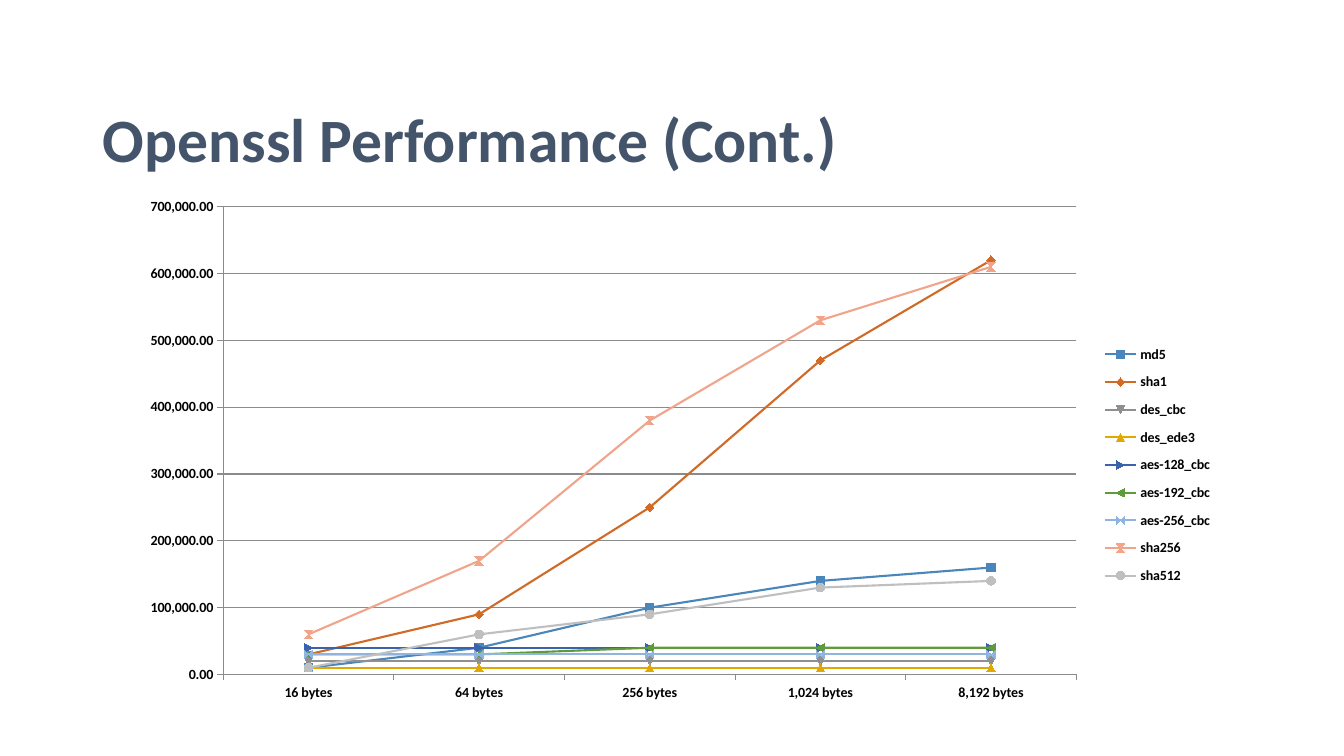
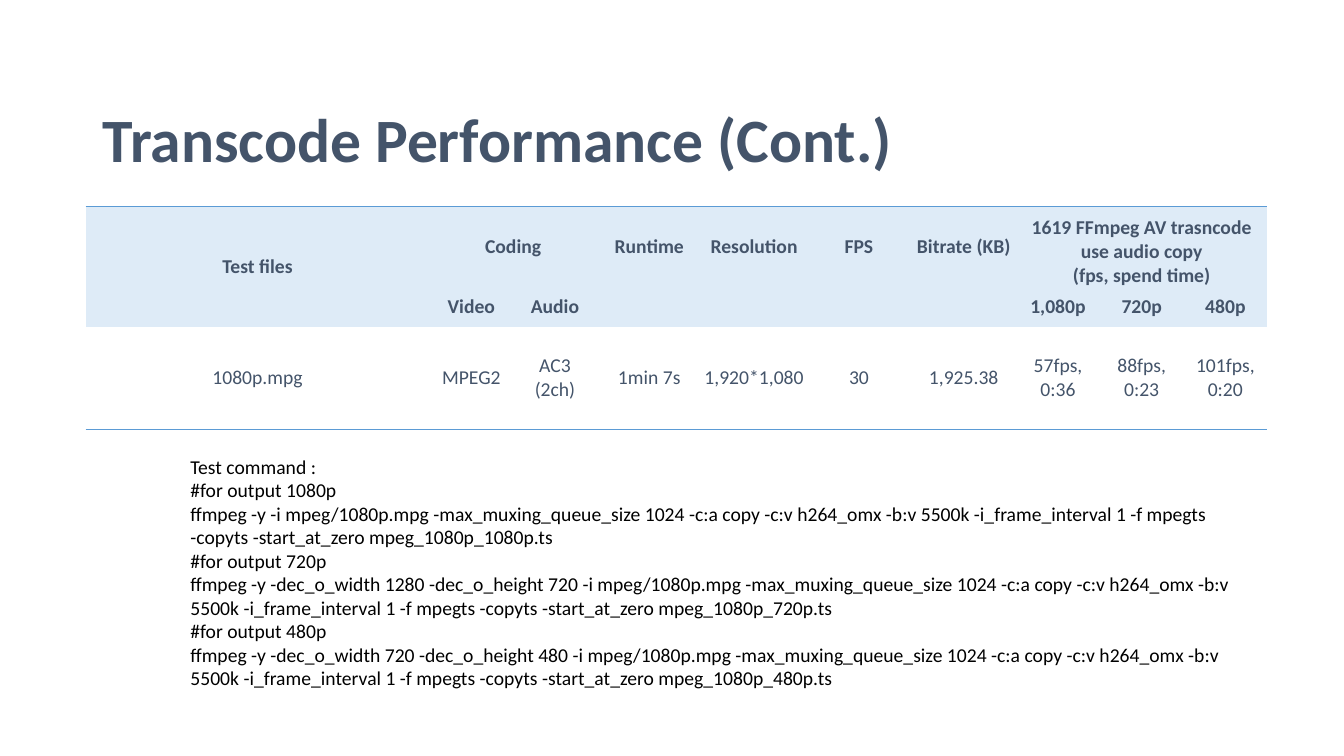
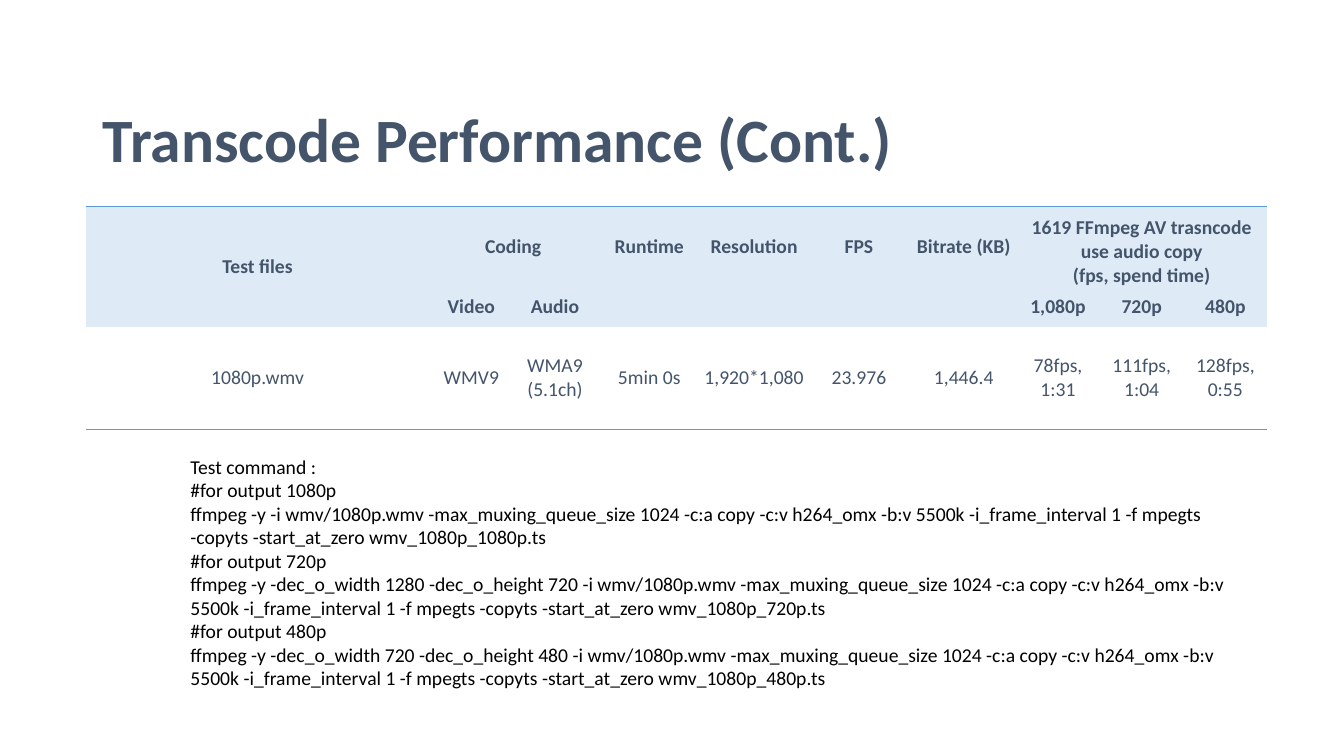
from lxml import etree
from pptx import Presentation
from pptx import util as u
from pptx.chart import data as chart_data
from pptx.dml.color import RGBColor
from pptx.enum import chart as charts, text
from pptx.oxml import ns

FONT = "Calibri"
NAVY, BLACK, WHITE = "44546A", "000000", "FFFFFF"
BLUE, PALE_BLUE, GRAY = "5B9BD5", "DEEBF7", "8B8B8B"
PLAIN_TABLE = "{2D5ABB26-0587-4C30-8999-92F81FD0307C}"

SIZES = ["16 bytes", "64 bytes", "256 bytes", "1,024 bytes", "8,192 bytes"]
SERIES = [
    ("md5", "4A86BA", [10000, 40000, 100000, 140000, 160000]),
    ("sha1", "D06B27", [30000, 90000, 250000, 470000, 620000]),
    ("des_cbc", "8F8F8F", [20000] * 5),
    ("des_ede3", "E0A800", [10000] * 5),
    ("aes-128_cbc", "3A62AD", [40000] * 5),
    ("aes-192_cbc", "5F9A3B", [30000, 30000, 40000, 40000, 40000]),
    ("aes-256_cbc", "90B4E0", [30000] * 5),
    ("sha256", "F0A58A", [60000, 170000, 380000, 530000, 610000]),
    ("sha512", "BFBFBF", [10000, 60000, 90000, 130000, 140000]),
]

COLUMNS = [3.41] + [0.83] * 2 + [1.04] * 4 + [0.83] * 3
ROWS = [0.8, 0.39, 1.02]
HEADINGS = [
    ["Test files", "Coding", "", "Runtime", "Resolution", "FPS", "Bitrate (KB)",
     "1619 FFmpeg AV trasncode\vuse audio copy\v(fps, spend time)", "", ""],
    ["", "Video", "Audio", "", "", "", "", "1,080p", "720p", "480p"],
]
MERGES = [((0, 0), (1, 0)), ((0, 1), (0, 2)), ((0, 7), (0, 9))]
MPEG_RESULTS = ["1080p.mpg", "MPEG2", "AC3\n(2ch)", "1min 7s", "1,920*1,080", "30",
                "1,925.38", "57fps, 0:36", "88fps, 0:23", "101fps, 0:20"]
WMV_RESULTS = ["1080p.wmv", "WMV9", "WMA9 (5.1ch)", "5min 0s", "1,920*1,080", "23.976",
               "1,446.4", "78fps, 1:31", "111fps, 1:04", "128fps, 0:55"]
OUTPUTS = [("1080p", ""),
           ("720p", "-dec_o_width 1280 -dec_o_height 720 "),
           ("480p", "-dec_o_width 720 -dec_o_height 480 ")]


def color(value):
    return RGBColor.from_string(value)


def style_font(font, size, fill, bold=False):
    font.name = FONT
    font.size = u.Pt(size)
    font.bold = bold
    font.color.rgb = color(fill)


def write(frame, lines, size, fill, bold=False, align=text.PP_ALIGN.LEFT):
    for index, line in enumerate(lines):
        para = frame.paragraphs[0] if index == 0 else frame.add_paragraph()
        para.alignment = align
        for part, words in enumerate(line.split("\v")):
            if part:
                para.add_line_break()
            span = para.add_run()
            span.text = words
            style_font(span.font, size, fill, bold)


def add_page(deck, heading):
    page = deck.slides.add_slide(deck.slide_layouts[5])
    page.background.fill.solid()
    page.background.fill.fore_color.rgb = color(WHITE)
    title = page.shapes.title
    title.left, title.top = u.Inches(0.92), u.Inches(0.98)
    title.width, title.height = u.Inches(11.5), u.Inches(0.86)
    frame = title.text_frame
    frame.auto_size = text.MSO_AUTO_SIZE.NONE
    frame.vertical_anchor = text.MSO_ANCHOR.MIDDLE
    write(frame, [heading], 44, NAVY, True)
    frame.paragraphs[0].line_spacing = 0.9
    return page


def manual_layout(inner, **edges):
    layout = etree.Element(ns.qn("c:layout"))
    manual = etree.SubElement(layout, ns.qn("c:manualLayout"))
    settings = {"layoutTarget": "inner"} if inner else {}
    settings.update(xMode="edge", yMode="edge", **edges)
    for name, value in settings.items():
        etree.SubElement(manual, ns.qn("c:" + name)).set("val", str(value))
    return layout


def place_chart_parts(chart):
    plot_area = chart._chartSpace.chart.plotArea
    for layout in plot_area.findall(ns.qn("c:layout")):
        plot_area.remove(layout)
    plot_area.insert(0, manual_layout(True, x=0.086, y=0.035, w=0.78, h=0.896))
    legend = chart.legend._element
    for layout in legend.findall(ns.qn("c:layout")):
        legend.remove(layout)
    position = legend.find(ns.qn("c:legendPos"))
    position.addnext(manual_layout(False, x=0.88, y=0.28, w=0.12, h=0.5))


def style_line(line, fill, width):
    line.color.rgb = color(fill)
    line.width = u.Pt(width)


def add_speed_chart(page):
    speeds = chart_data.CategoryChartData(number_format="#,##0.00")
    speeds.categories = SIZES
    for name, _, values in SERIES:
        speeds.add_series(name, values)
    chart = page.shapes.add_chart(
        charts.XL_CHART_TYPE.LINE_MARKERS, u.Inches(1.28), u.Inches(1.87),
        u.Inches(10.85), u.Inches(5.18), speeds).chart
    chart.has_title = False
    style_font(chart.font, 10, BLACK, True)
    chart.has_legend = True
    chart.legend.position = charts.XL_LEGEND_POSITION.RIGHT
    chart.legend.include_in_layout = False
    style_font(chart.legend.font, 10, BLACK, True)
    for axis in (chart.category_axis, chart.value_axis):
        axis.major_tick_mark = charts.XL_TICK_MARK.OUTSIDE
        axis.minor_tick_mark = charts.XL_TICK_MARK.NONE
        style_font(axis.tick_labels.font, 10, BLACK, True)
        style_line(axis.format.line, GRAY, 0.75)
    axis = chart.value_axis
    axis.minimum_scale, axis.maximum_scale, axis.major_unit = 0, 700000, 100000
    axis.tick_labels.number_format = "#,##0.00"
    axis.tick_labels.number_format_is_linked = False
    axis.has_major_gridlines = True
    style_line(axis.major_gridlines.format.line, GRAY, 0.75)
    plot = chart.plots[0]
    plot.vary_by_categories = False
    for series, (_, fill, _) in zip(plot.series, SERIES):
        series.smooth = False
        style_line(series.format.line, fill, 1.5)
        series.marker.size = 6
        series.marker.format.fill.solid()
        series.marker.format.fill.fore_color.rgb = color(fill)
        style_line(series.marker.format.line, fill, 0.75)
    place_chart_parts(chart)


def add_border(cell, side):
    line = etree.Element(ns.qn("a:ln" + side), w=str(u.Pt(1)))
    fill = etree.SubElement(line, ns.qn("a:solidFill"))
    etree.SubElement(fill, ns.qn("a:srgbClr"), val=BLUE)
    cell._tc.get_or_add_tcPr().insert(0, line)


def fill_cell(cell, words, heading):
    cell.margin_left = cell.margin_right = cell.margin_top = cell.margin_bottom = 0
    cell.vertical_anchor = text.MSO_ANCHOR.BOTTOM if "\v" in words else text.MSO_ANCHOR.MIDDLE
    if heading:
        cell.fill.solid()
        cell.fill.fore_color.rgb = color(PALE_BLUE)
    else:
        cell.fill.background()
    if words:
        write(cell.text_frame, words.split("\n"), 14, NAVY, heading, text.PP_ALIGN.CENTER)


def add_results_table(page, results):
    table = page.shapes.add_table(
        len(ROWS), len(COLUMNS), u.Inches(0.85), u.Inches(2.05),
        u.Inches(sum(COLUMNS)), u.Inches(sum(ROWS))).table
    table.first_row = table.horz_banding = False
    table._tbl.tblPr.find(ns.qn("a:tableStyleId")).text = PLAIN_TABLE
    for column, width in zip(table.columns, COLUMNS):
        column.width = u.Inches(width)
    for row, height in zip(table.rows, ROWS):
        row.height = u.Inches(height)
    for first, last in MERGES:
        table.cell(*first).merge(table.cell(*last))
    for row, labels in enumerate(HEADINGS + [results]):
        for column, words in enumerate(labels):
            cell = table.cell(row, column)
            fill_cell(cell, words, row < len(HEADINGS))
            if row == 0:
                add_border(cell, "T")
            elif row == len(HEADINGS):
                add_border(cell, "B")


def command_lines(source, prefix):
    lines = ["Test command :"]
    for output, scaling in OUTPUTS:
        lines.append(f"#for output {output}")
        lines.append(
            f"ffmpeg -y {scaling}-i {prefix}/{source} -max_muxing_queue_size 1024 "
            "-c:a copy -c:v h264_omx -b:v 5500k -i_frame_interval 1 -f mpegts "
            f"-copyts -start_at_zero {prefix}_1080p_{output}.ts")
    return lines


def add_commands(page, lines):
    box = page.shapes.add_textbox(u.Inches(1.79), u.Inches(4.46), u.Inches(10.54), u.Inches(2.46))
    box.text_frame.word_wrap = True
    box.text_frame.auto_size = text.MSO_AUTO_SIZE.SHAPE_TO_FIT_TEXT
    write(box.text_frame, lines, 14, BLACK)


def main():
    deck = Presentation()
    deck.slide_width, deck.slide_height = u.Inches(13.33), u.Inches(7.5)
    add_speed_chart(add_page(deck, "Openssl Performance (Cont.)"))
    for results, prefix in ((MPEG_RESULTS, "mpeg"), (WMV_RESULTS, "wmv")):
        page = add_page(deck, "Transcode Performance (Cont.)")
        add_results_table(page, results)
        add_commands(page, command_lines(results[0], prefix))
    deck.save("out.pptx")


if __name__ == "__main__":
    main()
